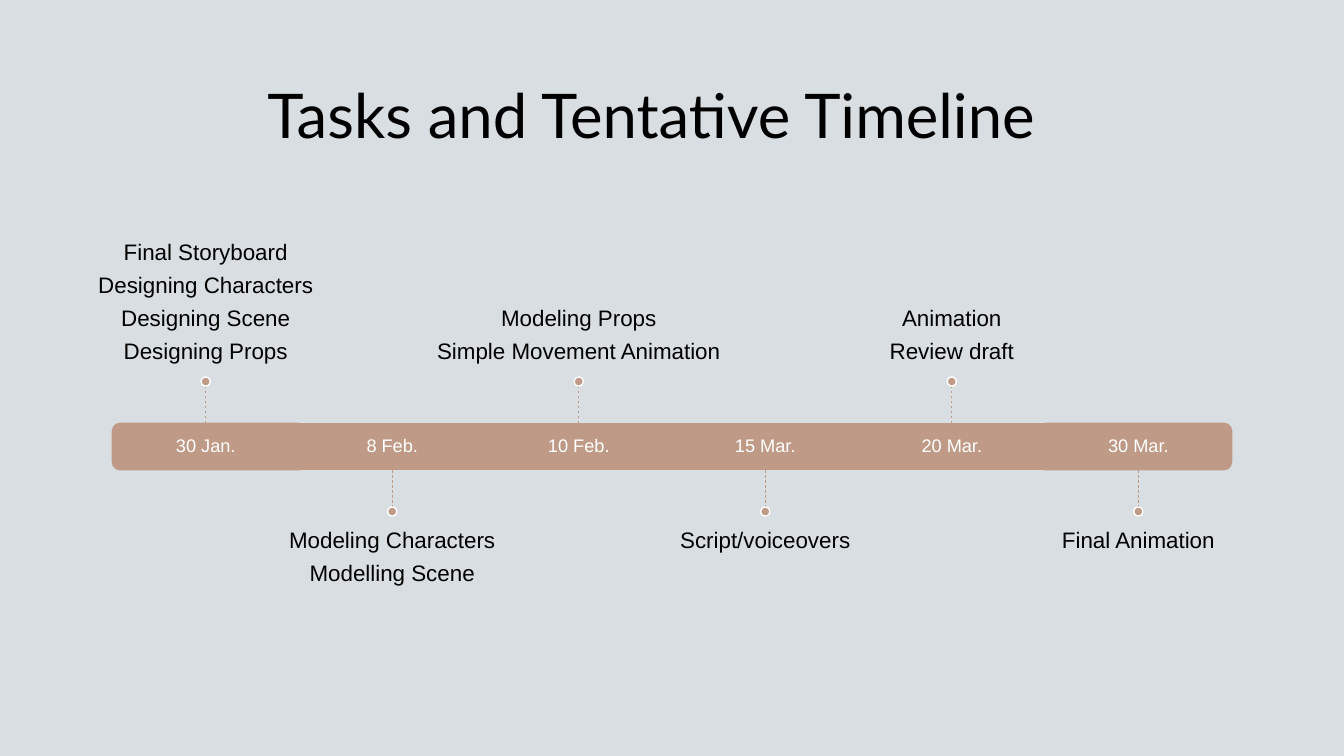
"""Builds a timeline slide of six dated tasks along one bar."""
from lxml.etree import SubElement
from pptx import Presentation
from pptx.dml.color import RGBColor
from pptx.enum.dml import MSO_LINE
from pptx.enum.shapes import MSO_CONNECTOR, MSO_SHAPE
from pptx.enum.text import MSO_ANCHOR, PP_ALIGN
from pptx.oxml.ns import qn
from pptx.util import Inches, Pt

TITLE = "Tasks and Tentative Timeline"
STEPS = [
    ("30 Jan.", ["Final Storyboard", "Designing Characters",
                 "Designing Scene", "Designing Props"]),
    ("8 Feb.", ["Modeling Characters", "Modelling Scene"]),
    ("10 Feb.", ["Modeling Props", "Simple Movement Animation"]),
    ("15 Mar.", ["Script/voiceovers"]),
    ("20 Mar.", ["Animation", "Review draft"]),
    ("30 Mar.", ["Final Animation"]),
]
BACK, CLAY, WHITE, BLACK = "D8DEE1", "BE9A87", "FFFFFF", "000000"
WIDE, HIGH = 13.33, 7.5
COL, BAR, TOP = 1.85, 0.46, 4.2
STEM, DOT = 0.37, 0.09
NOTE_W, NOTE_H, PAD = 3.08, 1.61, 0.13
LEFT = (WIDE - COL * len(STEPS)) / 2


def color(code):
    """Return the colour for a hex string."""
    return RGBColor.from_string(code)


def box(x, y, w, h):
    """Return a frame in slide units."""
    return [Inches(n) for n in (x, y, w, h)]


def draw(slide, kind, frame, edge):
    """Add a clay shape with a thin edge."""
    shape = slide.shapes.add_shape(kind, *frame)
    shape.shadow.inherit = False
    shape.fill.solid()
    shape.fill.fore_color.rgb = color(CLAY)
    shape.line.color.rgb = color(edge)
    shape.line.width = Pt(1)
    return shape


def write(slide, frame, lines, size, ink, anchor, pads):
    """Add a centred text box."""
    text = slide.shapes.add_textbox(*frame).text_frame
    text.word_wrap = True
    text.vertical_anchor = anchor
    text.margin_left = text.margin_right = Inches(pads[0])
    text.margin_top, text.margin_bottom = Inches(pads[1]), Inches(pads[2])
    text.text = "\n".join(lines)
    for para in text.paragraphs:
        para.alignment = PP_ALIGN.CENTER
        para.line_spacing = 0.9
        para.space_after = Pt(round(size * 0.39, 1))
        for run in para.runs:
            run.font.name, run.font.size = "Arial", Pt(size)
            run.font.color.rgb = color(ink)


def segment(slide, mid, turn):
    """Add one part of the bar, rounded outward if turned."""
    if turn:
        frame = box(mid - BAR / 2, TOP + BAR / 2 - COL / 2, BAR, COL)
        part = draw(slide, MSO_SHAPE.ROUND_2_SAME_RECTANGLE, frame, CLAY)
        part.rotation = turn
        return part
    return draw(slide, MSO_SHAPE.RECTANGLE, box(mid - COL / 2, TOP, COL, BAR), CLAY)


def stem(slide, mid, start, end):
    """Add a dashed upright line."""
    line = slide.shapes.add_connector(
        MSO_CONNECTOR.STRAIGHT, Inches(mid), Inches(start), Inches(mid), Inches(end))
    line.line.color.rgb = color(CLAY)
    line.line.width = Pt(0.5)
    line.line.dash_style = MSO_LINE.DASH
    SubElement(line._element.spPr, qn("a:effectLst"))
    return line


def step(slide, index, date, tasks):
    """Add one date with its stem, dot and tasks."""
    mid = LEFT + COL * (index + 0.5)
    above = index % 2 == 0
    turn = {0: 270, len(STEPS) - 1: 90}.get(index, 0)
    part = segment(slide, mid, turn)
    write(slide, box(mid - COL / 2, TOP, COL, BAR), [date], 13, WHITE,
          MSO_ANCHOR.MIDDLE, (0.11, 0.11, 0.11))
    if above:
        start, end = TOP, TOP - STEM
        dot = end - DOT
        note, anchor, pads = dot - NOTE_H, MSO_ANCHOR.BOTTOM, (0, 0, PAD)
    else:
        start, end = TOP + BAR, TOP + BAR + STEM
        dot = end
        note, anchor, pads = dot + DOT, MSO_ANCHOR.TOP, (0, PAD, 0)
    write(slide, box(mid - NOTE_W / 2, note, NOTE_W, NOTE_H), tasks, 16, BLACK,
          anchor, pads)
    line = stem(slide, mid, start, end)
    if not turn:
        line.begin_connect(part, 0 if above else 2)
    draw(slide, MSO_SHAPE.OVAL, box(mid - DOT / 2, dot, DOT, DOT), WHITE)


def head(slide):
    """Fill and place the title."""
    title = slide.shapes.title
    title.left, title.top, title.width, title.height = box(0.5, 0.4, 11.92, 1.45)
    text = title.text_frame
    text.text = TITLE
    text.vertical_anchor = MSO_ANCHOR.MIDDLE
    para = text.paragraphs[0]
    para.alignment = PP_ALIGN.CENTER
    font = para.runs[0].font
    font.name, font.size = "Lato", Pt(44)
    font.color.rgb = color(BLACK)


def main():
    """Build and save the slide."""
    deck = Presentation()
    deck.slide_width, deck.slide_height = Inches(WIDE), Inches(HIGH)
    slide = deck.slides.add_slide(deck.slide_layouts[5])
    slide.background.fill.solid()
    slide.background.fill.fore_color.rgb = color(BACK)
    head(slide)
    for index, (date, tasks) in enumerate(STEPS):
        step(slide, index, date, tasks)
    deck.save("out.pptx")


if __name__ == "__main__":
    main()
